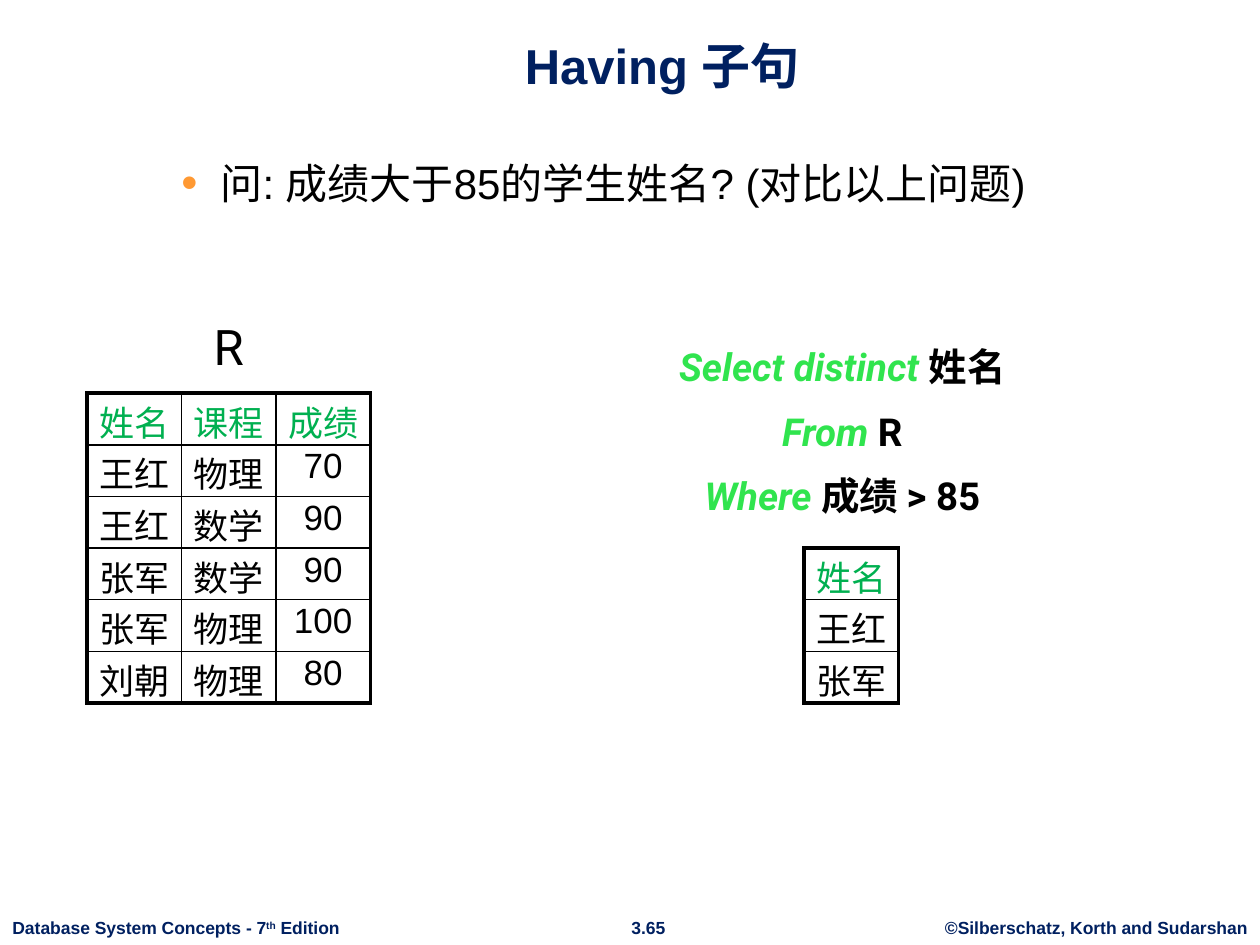
from dataclasses import dataclass

from lxml import etree
from pptx import Presentation
from pptx.dml.color import RGBColor as RGB
from pptx.enum.text import MSO_ANCHOR as ANCHOR, MSO_AUTO_SIZE as AUTO, PP_ALIGN as ALIGN
from pptx.oxml.ns import qn
from pptx.util import Inches, Pt


@dataclass(frozen=True)
class Theme:
    navy: str = "002060"
    black: str = "000000"
    white: str = "FFFFFF"
    header: str = "00B050"
    keyword: str = "30E44E"
    bullet: str = "FF9933"
    sans: str = "Arial"
    query_font: str = "Roboto"
    title: int = 28
    body: int = 24
    query: int = 22
    cell: int = 20
    footer: int = 10
    thick: float = 2.25
    thin: float = 1


T = Theme()


def place(shape, box):
    shape.left, shape.top, shape.width, shape.height = map(Inches, box)


def add_run(p, text, size, color, font=T.sans, bold=False, italic=False):
    r = p.add_run()
    r.text = text
    r.font.name, r.font.size = font, Pt(size)
    r.font.bold, r.font.italic = bold, italic
    r.font.color.rgb = RGB.from_string(color)
    return r


def add_textbox(s, box, wrap=True):
    tf = s.shapes.add_textbox(*map(Inches, box)).text_frame
    tf.word_wrap = wrap
    tf.auto_size = AUTO.SHAPE_TO_FIT_TEXT
    return tf


def add_bullet(p, char, color, percent):
    pPr = p._p.get_or_add_pPr()
    pPr.set("marL", str(Inches(0.81)))
    pPr.set("indent", str(Inches(-0.31)))
    clr = etree.SubElement(pPr, qn("a:buClr"))
    etree.SubElement(clr, qn("a:srgbClr"), val=color)
    etree.SubElement(pPr, qn("a:buSzPct"), val=str(percent * 1000))
    etree.SubElement(pPr, qn("a:buFont"), typeface=T.sans)
    etree.SubElement(pPr, qn("a:buChar"), char=char)


def add_title(s, box):
    title = s.shapes.title
    place(title, box)
    tf = title.text_frame
    tf.auto_size = AUTO.NONE
    tf.vertical_anchor = ANCHOR.BOTTOM
    p = tf.paragraphs[0]
    p.alignment = ALIGN.CENTER
    add_run(p, "Having 子句", T.title, T.navy, bold=True)


def add_question(s, box):
    body = s.placeholders[1]
    place(body, box)
    tf = body.text_frame
    tf.auto_size = AUTO.NONE
    p = tf.paragraphs[0]
    p.level = 1
    p.space_before = Pt(0)
    add_bullet(p, "•", T.bullet, 110)
    add_run(p, "问: 成绩大于85的学生姓名? (对比以上问题)", T.body, T.black)


def set_borders(cell, widths):
    tcPr = cell._tc.get_or_add_tcPr()
    for side, width in widths.items():
        ln = etree.SubElement(tcPr, qn(f"a:ln{side}"), w=str(Pt(width)))
        fill = etree.SubElement(ln, qn("a:solidFill"))
        etree.SubElement(fill, qn("a:srgbClr"), val=T.black)


def add_relation(s, left, top, rows, col_width=0.75, row_height=0.41):
    n_rows, n_cols = len(rows), len(rows[0])
    box = (left, top, col_width * n_cols, row_height * n_rows)
    table = s.shapes.add_table(n_rows, n_cols, *map(Inches, box)).table
    table.first_row = table.horz_banding = False
    for i, row in enumerate(rows):
        table.rows[i].height = Inches(row_height)
        for j, text in enumerate(row):
            cell = table.cell(i, j)
            edges = {"L": j == 0, "R": j == n_cols - 1, "T": i == 0, "B": i == n_rows - 1}
            set_borders(cell, {k: T.thick if outer else T.thin for k, outer in edges.items()})
            cell.fill.solid()
            cell.fill.fore_color.rgb = RGB.from_string(T.white)
            cell.margin_left = cell.margin_right = Inches(0.04)
            cell.margin_top = cell.margin_bottom = Inches(0.02)
            p = cell.text_frame.paragraphs[0]
            p.alignment = ALIGN.CENTER
            add_run(p, text, T.cell, T.black if i else T.header)


def add_relation_name(s, box):
    p = add_textbox(s, box).paragraphs[0]
    p.alignment = ALIGN.CENTER
    add_run(p, "R", T.title, T.black, T.query_font)


def add_query(s, box):
    tf = add_textbox(s, box)
    clauses = [("Select distinct ", "姓名"), ("From ", "R"), ("Where ", "成绩 > 85")]
    for i, (keyword, operand) in enumerate(clauses):
        p = tf.add_paragraph() if i else tf.paragraphs[0]
        p.alignment = ALIGN.CENTER
        p.line_spacing = 1.15
        p.space_before = Pt(0.3 * T.query if i else 0)
        add_run(p, keyword, T.query, T.keyword, T.query_font, bold=True, italic=True)
        add_run(p, operand, T.query, T.black, T.query_font, bold=True)


def add_footer(s, top, height):
    edition = [("Database System Concepts - 7", 0), ("th", 30), (" Edition", 0)]
    parts = [
        (0, 2.81, ALIGN.LEFT, edition),
        (4.9, 0.49, ALIGN.CENTER, [("3.65", 0)]),
        (7.4, 2.6, ALIGN.CENTER, [("©Silberschatz, Korth and Sudarshan", 0)]),
    ]
    for left, width, align, runs in parts:
        p = add_textbox(s, (left, top, width, height), wrap=False).paragraphs[0]
        p.alignment = align
        for text, raised in runs:
            r = add_run(p, text, T.footer, T.navy, bold=True)
            if raised:
                r._r.get_or_add_rPr().set("baseline", str(raised * 1000))


def main():
    prs = Presentation()
    prs.slide_width, prs.slide_height = Inches(10), Inches(7.5)
    s = prs.slides.add_slide(prs.slide_layouts[1])
    add_footer(s, 7.23, 0.27)
    add_title(s, (0.84, 0.13, 8.83, 0.67))
    add_question(s, (0.84, 1.2, 8.43, 5.36))
    add_relation(s, 0.69, 3.12, [
        ("姓名", "课程", "成绩"),
        ("王红", "物理", "70"),
        ("王红", "数学", "90"),
        ("张军", "数学", "90"),
        ("张军", "物理", "100"),
        ("刘朝", "物理", "80"),
    ])
    add_relation_name(s, (1.19, 2.46, 1.25, 0.57))
    add_query(s, (3.44, 2.62, 6.49, 1.59))
    add_relation(s, 6.38, 4.35, [("姓名",), ("王红",), ("张军",)])
    prs.save("out.pptx")


if __name__ == "__main__":
    main()
